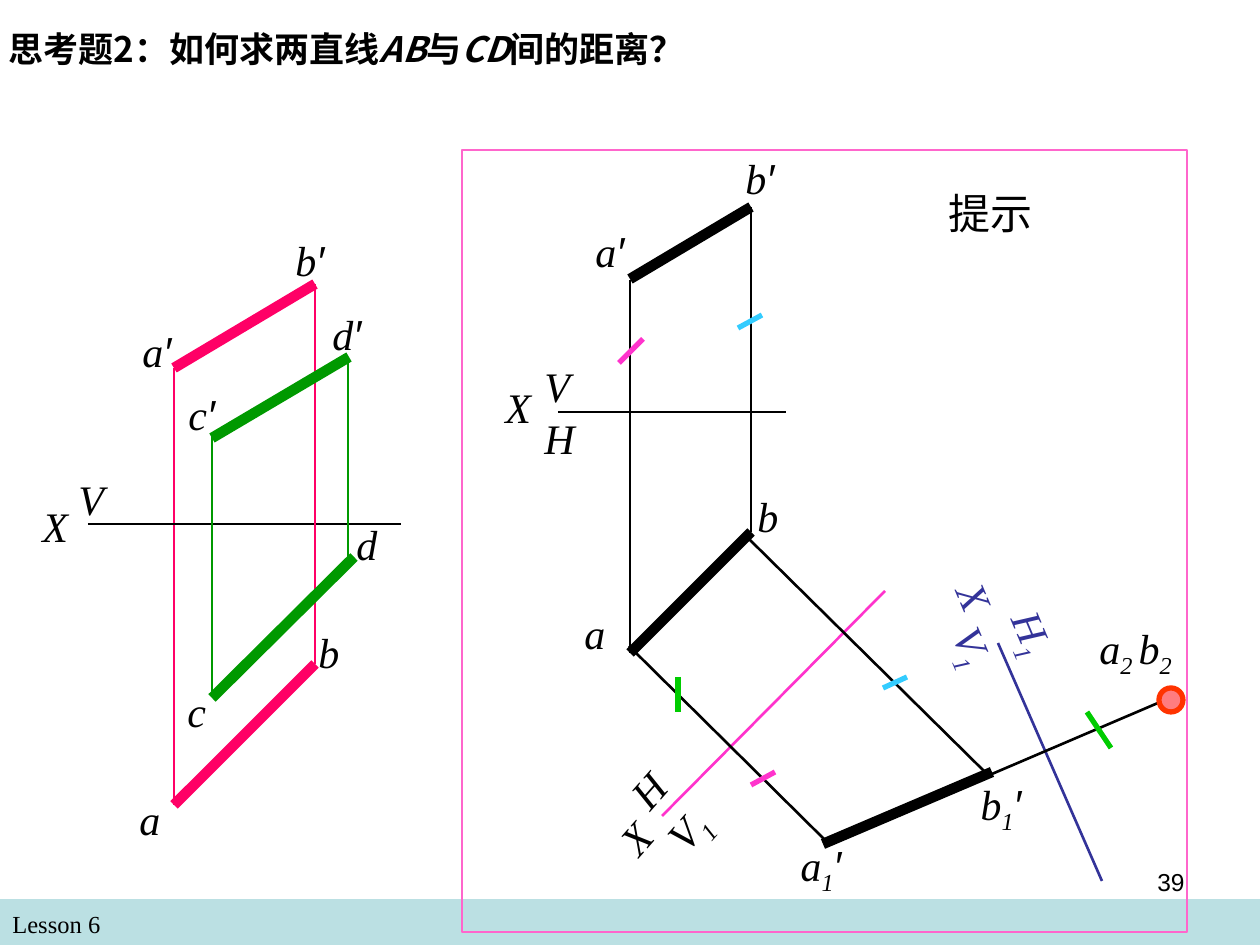
from itertools import groupby

from lxml import etree
from pptx import Presentation, util as u
from pptx.dml.color import RGBColor
from pptx.enum import shapes, text
from pptx.oxml import ns

SCALE = 914400 / 126  # EMU per px
SERIF, SANS, CJK = "Times New Roman", "Arial", "Noto Sans CJK SC"
BLACK, ROSE, GREEN, BLUE = "000000", "FF0066", "009900", "333399"
PINK, SKY, LIME = "FF33CC", "33CCFF", "00CC00"
THIN, MEDIUM, TICK, THICK = 0.75, 1.5, 3, 6

presentation = Presentation()
presentation.slide_width, presentation.slide_height = u.Inches(10), u.Inches(7.5)
slide = presentation.slides.add_slide(presentation.slide_layouts[6])


def emu(*lengths):
    return [u.Emu(round(length * SCALE)) for length in lengths]


def add_text(parent, box, pieces, size=24, color=BLACK, rotation=0):
    """Add a text box; each piece is (text, font name, bold, italic, baseline)."""
    shape = parent.add_textbox(*emu(*box))
    shape.rotation = rotation
    shape.text_frame.word_wrap = True
    paragraph = shape.text_frame.paragraphs[0]
    for words, name, bold, italic, baseline in pieces:
        run = paragraph.add_run()
        run.text = words
        font = run.font
        font.name, font.size, font.bold, font.italic = name, u.Pt(size), bold, italic
        font.color.rgb = RGBColor.from_string(color)
        properties = run._r.get_or_add_rPr()
        if baseline:
            properties.set("baseline", str(baseline))
        if name == CJK:
            etree.SubElement(properties, ns.qn("a:ea")).set("typeface", name)
    return paragraph


# Footer band
band = slide.shapes.add_shape(shapes.MSO_SHAPE.RECTANGLE, *emu(0, 899, 1260, 46))
band.shadow.inherit = False
band.fill.solid()
band.fill.fore_color.rgb = RGBColor.from_string("BBE0E3")
band.line.fill.background()
add_text(slide.shapes, (0, 903, 609, 43), [("Lesson 6", SERIF, False, False, 0)], 14)

problem = slide.shapes.add_group_shape().shapes
hint = slide.shapes.add_group_shape().shapes

# Lines: parent, colour, weight, x1, y1, x2, y2
lines = [
    (problem, ROSE, THIN, 174, 368, 174, 805),
    (problem, BLACK, MEDIUM, 88, 524, 401, 524),
    (problem, ROSE, THICK, 174, 368, 315, 284),
    (problem, ROSE, THICK, 174, 805, 315, 664),
    (problem, ROSE, THIN, 315, 664, 315, 284),
    (problem, GREEN, THICK, 212, 698, 354, 557),
    (problem, GREEN, THICK, 212, 438, 349, 357),
    (problem, GREEN, THIN, 212, 693, 212, 435),
    (problem, GREEN, THIN, 348, 357, 348, 557),
    (hint, BLUE, MEDIUM, 998, 643, 1102, 881),
    (hint, BLACK, MEDIUM, 630, 280, 630, 653),
    (hint, BLACK, MEDIUM, 558, 412, 786, 412),
    (hint, BLACK, THICK, 630, 279, 751, 207),
    (hint, BLACK, THICK, 630, 653, 751, 532),
    (hint, BLACK, THIN, 751, 532, 751, 207),
    (hint, BLACK, MEDIUM, 992, 774, 1172, 697),
    (hint, PINK, MEDIUM, 662, 816, 885, 591),
    (hint, BLACK, MEDIUM, 629, 646, 827, 842),
    (hint, BLACK, MEDIUM, 748, 538, 987, 774),
    (hint, BLACK, THICK, 992, 772, 823, 844),
    (hint, PINK, TICK, 775, 772, 751, 785),
    (hint, PINK, TICK, 643, 339, 619, 363),
    (hint, SKY, TICK, 738, 328, 762, 315),
    (hint, SKY, TICK, 883, 688, 907, 677),
    (hint, LIME, TICK, 678, 677, 678, 712),
    (hint, LIME, TICK, 1087, 712, 1111, 748),
]
for parent, color, weight, *ends in lines:
    line = parent.add_connector(shapes.MSO_CONNECTOR.STRAIGHT, *emu(*ends))
    line.line.width = u.Pt(weight)
    line.line.color.rgb = RGBColor.from_string(color)
    etree.SubElement(line._element.spPr, ns.qn("a:effectLst"))

# Point where AB projects to a single dot, and the frame of the hint
outlines = [
    (shapes.MSO_SHAPE.OVAL, (1159, 688, 24, 24), "FF7C80", "FF3300", TICK),
    (shapes.MSO_SHAPE.RECTANGLE, (462, 150, 725, 782), None, "FF66CC", THIN),
]
for kind, box, fill, color, weight in outlines:
    shape = hint.add_shape(kind, *emu(*box))
    shape.shadow.inherit = False
    if fill:
        shape.fill.solid()
        shape.fill.fore_color.rgb = RGBColor.from_string(fill)
    else:
        shape.fill.background()
    shape.line.color.rgb = RGBColor.from_string(color)
    shape.line.width = u.Pt(weight)

# Labels: parent, text, left, top, width, colour, rotation
labels = [
    (problem, "a′", 130, 319, 118, BLACK, 0),
    (problem, "a", 127, 787, 135, BLACK, 0),
    (problem, "X", 30, 494, 100, BLACK, 0),
    (problem, "b′", 283, 228, 118, BLACK, 0),
    (problem, "b", 306, 620, 84, BLACK, 0),
    (problem, "c", 175, 679, 125, BLACK, 0),
    (problem, "d", 344, 512, 84, BLACK, 0),
    (problem, "c′", 176, 382, 118, BLACK, 0),
    (problem, "d′", 320, 302, 118, BLACK, 0),
    (hint, "X", 940, 581, 84, BLUE, 67.1),
    (hint, "H1", 988, 612, 96, BLUE, 67.1),
    (hint, "V1", 925, 634, 110, BLUE, 67.1),
    (hint, "a′", 583, 219, 101, BLACK, 0),
    (hint, "a", 572, 601, 115, BLACK, 0),
    (hint, "X", 493, 375, 84, BLACK, 0),
    (hint, "V", 532, 354, 60, BLACK, 0),
    (hint, "H", 532, 406, 72, BLACK, 0),
    (hint, "b′", 733, 146, 101, BLACK, 0),
    (hint, "b", 745, 484, 115, BLACK, 0),
    (hint, "a2 b2", 1087, 616, 169, BLACK, 0),
    (hint, "X", 604, 794, 84, BLACK, -48.7),
    (hint, "H", 617, 751, 74, BLACK, -48.7),
    (hint, "V1", 649, 776, 117, BLACK, -48.7),
    (hint, "a1′", 788, 833, 121, BLACK, -0.6),
    (hint, "b1′", 968, 772, 120, BLACK, -0.6),
    (slide.shapes, "V", 66, 467, 71, BLACK, 0),
]
styles = {"letter": (SERIF, 0), "index": (SERIF, -25000), "prime": (SANS, 0)}
for parent, label, left, top, width, color, rotation in labels:
    pieces = []
    for kind, letters in groupby(
        label, lambda c: "index" if c in "12 " else "prime" if c == "′" else "letter"
    ):
        name, baseline = styles[kind]
        pieces.append(("".join(letters), name, False, True, baseline))
    height = 71 if any(c in "12" for c in label) else 63
    add_text(parent, (left, top, width, height), pieces, 24, color, rotation)

add_text(slide.shapes, (936, 181, 121, 63), [("提示", SERIF, False, False, 0)])

title = ["思考题2：如何求两直线", "AB", "与", "CD", "间的距离？"]
add_text(slide.shapes, (-4, 21, 725, 55),
         [(words, CJK, True, words in ("AB", "CD"), 0) for words in title], 20)

page_number = add_text(slide.shapes, (903, 861, 294, 66), [("39", SANS, False, False, 0)], 14)
page_number.alignment = text.PP_ALIGN.RIGHT

presentation.save("out.pptx")
